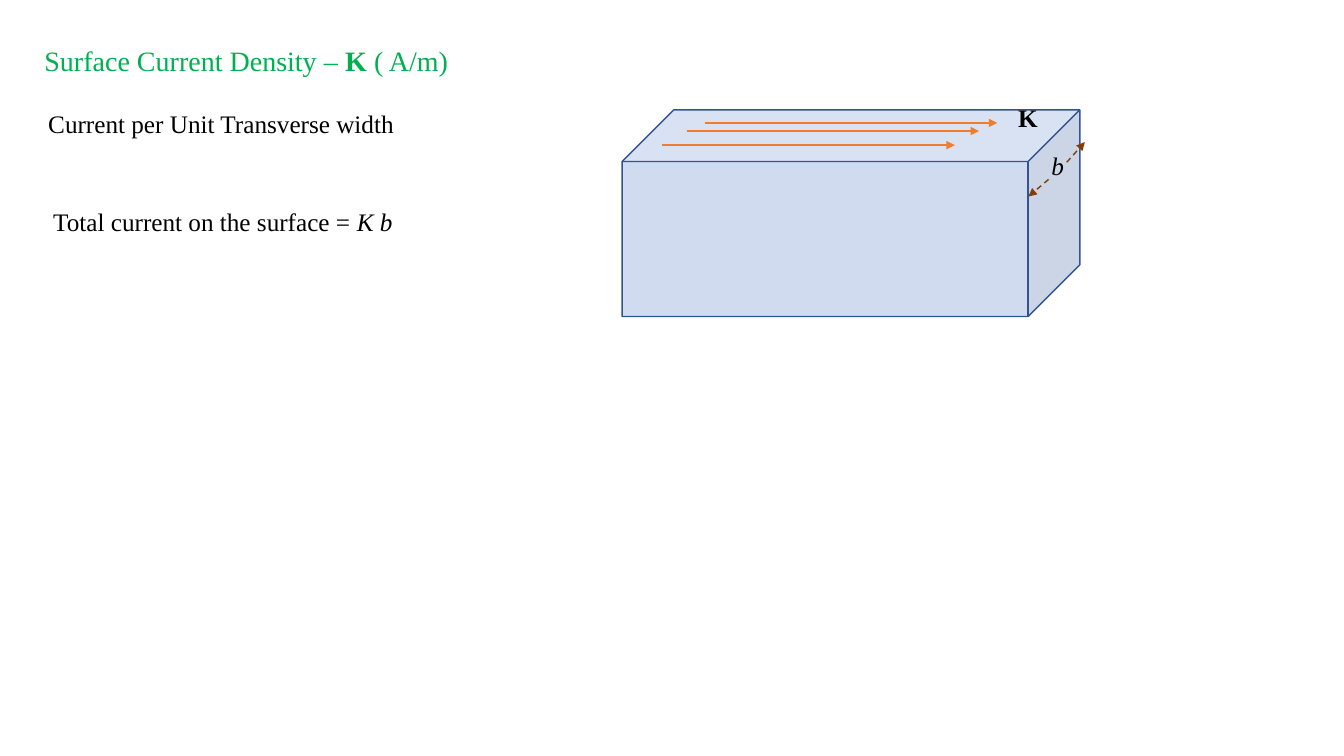
from lxml import etree
from pptx import Presentation
from pptx import util as u
from pptx.dml.color import RGBColor
from pptx.enum import dml, shapes, text
from pptx.oxml.ns import qn

PX = 9144  # EMU per px, 100 px to the inch
FONT = "Times New Roman"
GREEN = RGBColor(0x00, 0xB0, 0x50)
BLACK = RGBColor(0x00, 0x00, 0x00)
BLUE = RGBColor(0x44, 0x72, 0xC4)
NAVY = RGBColor(0x32, 0x54, 0x91)
ORANGE = RGBColor(0xED, 0x7D, 0x31)
BROWN = RGBColor(0x84, 0x3C, 0x0B)


def px(*lengths):
    return [u.Emu(n * PX) for n in lengths]


def write(sp, runs, size=18, color=BLACK):
    """Fill a shape with one left-aligned line of (text, style) runs."""
    tf = sp.text_frame
    tf.word_wrap = True
    tf.auto_size = text.MSO_AUTO_SIZE.NONE
    tf.vertical_anchor = text.MSO_ANCHOR.TOP
    p = tf.paragraphs[0]
    p.alignment = text.PP_ALIGN.LEFT
    p.font.name, p.font.size, p.font.color.rgb = FONT, u.Pt(size), color
    for words, style in runs:
        r = p.add_run()
        r.text = words
        if style == "bold":
            r.font.bold = True
        elif style == "italic":
            r.font.italic = True


def add_title(s, box, runs):
    sp = s.shapes.title
    sp.left, sp.top, sp.width, sp.height = px(*box)
    write(sp, runs, 20, GREEN)


def add_label(s, box, *runs):
    write(s.shapes.add_textbox(*px(*box)), runs)


def add_block(s, box):
    sp = s.shapes.add_shape(shapes.MSO_SHAPE.CUBE, *px(*box))
    sp.shadow.inherit = False
    sp.fill.solid()
    sp.fill.fore_color.rgb = BLUE
    color = sp.fill._xPr.find(qn("a:solidFill"))[0]
    etree.SubElement(color, qn("a:alpha"), val="25000")
    sp.line.color.rgb = NAVY
    sp.line.width = u.Pt(1)


def add_arrow(s, start, end, color, dashed=False):
    line = s.shapes.add_connector(shapes.MSO_CONNECTOR.STRAIGHT, *px(*start, *end))
    line.line.color.rgb = color
    line.line.width = u.Pt(1)
    if dashed:
        line.line.dash_style = dml.MSO_LINE.DASH
    etree.SubElement(line.line._get_or_add_ln(), qn("a:tailEnd"), type="triangle")
    etree.SubElement(line._element.spPr, qn("a:effectLst"))


def main():
    prs = Presentation()
    prs.slide_width, prs.slide_height = px(1333, 750)
    s = prs.slides.add_slide(prs.slide_layouts[5])

    # Definition
    add_title(s, (34, 38, 1083, 44),
              [("Surface Current Density – ", ""), ("K ", "bold"), ("( A/m)", "")])
    add_label(s, (38, 103, 1052, 40), ("Current per Unit Transverse width", ""))

    # Conductor with its surface current
    add_block(s, (617, 109, 454, 205))
    for x, y in ((699, 122), (681, 130), (657, 144)):
        add_arrow(s, (x, y), (x + 290, y), ORANGE)
    add_label(s, (1000, 97, 38, 40), ("K", "bold"))

    # Transverse width
    add_label(s, (1033, 144, 24, 41), ("b", "italic"))
    add_arrow(s, (1058, 161), (1076, 141), BROWN, dashed=True)
    add_arrow(s, (1040, 178), (1020, 195), BROWN, dashed=True)

    # Result
    add_label(s, (43, 200, 476, 40),
              ("Total current on the surface = ", ""), ("K b", "italic"))

    prs.save("out.pptx")


if __name__ == "__main__":
    main()
